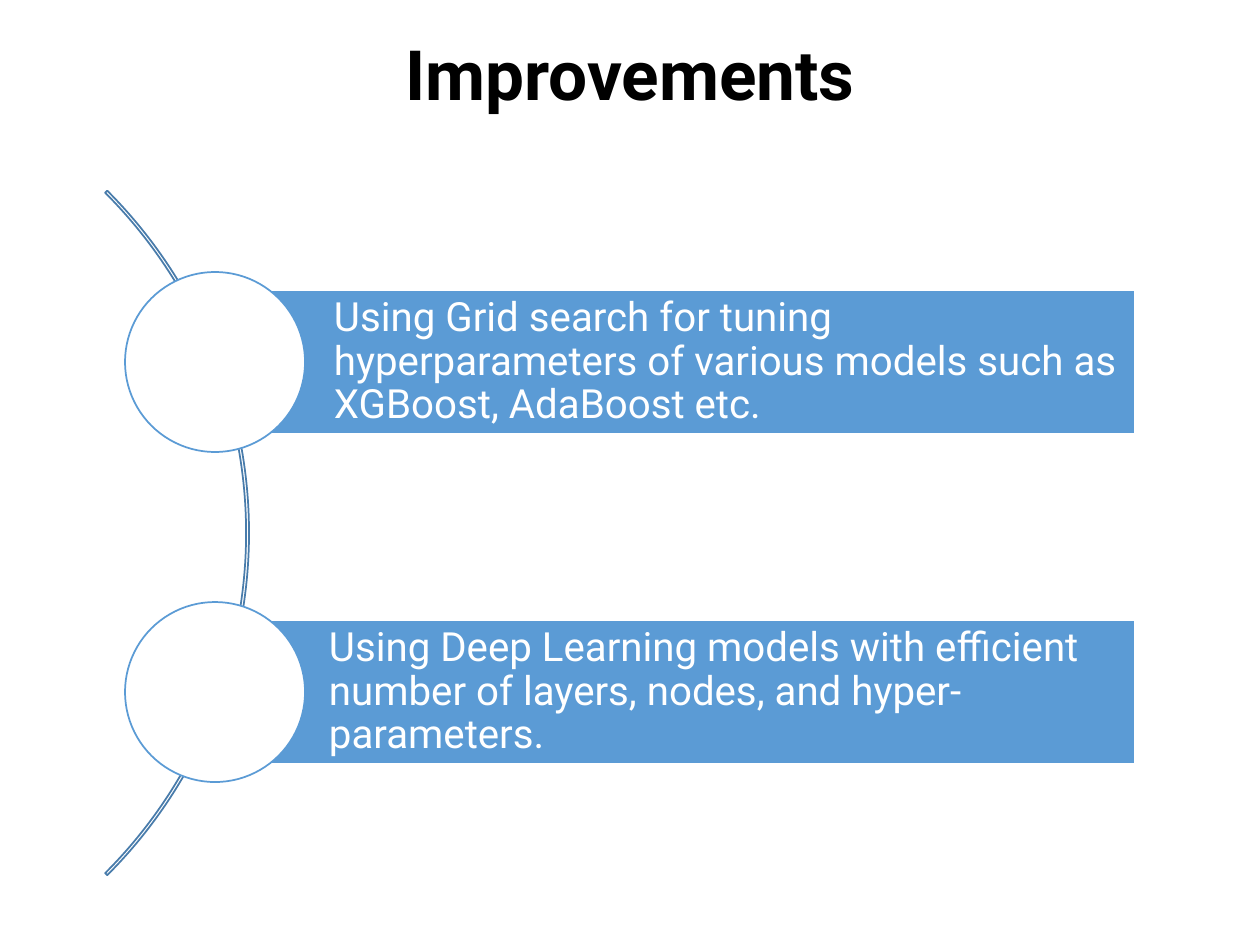
import pptx
import pptx.util
from pptx.dml.color import RGBColor
from pptx.enum.shapes import MSO_SHAPE
from pptx.enum.text import MSO_ANCHOR, MSO_AUTO_SIZE, PP_ALIGN

PX = 914400 / 126
COLORS = {"text": "000000", "bar": "5B9BD5", "light": "FFFFFF", "arc": "497CAB"}
ITEMS = [
    # bar offset from the circle's left edge, text
    (94, "Using Grid search for tuning hyperparameters of various models such as "
         "XGBoost, AdaBoost etc."),
    (89, "Using Deep Learning models with efficient number of layers, nodes, and "
         "hyper-parameters."),
]


def px(n):
    return pptx.util.Emu(round(n * PX))


def color(name):
    return RGBColor.from_string(COLORS[name])


def add_shape(s, kind, box, fill, line):
    sp = s.shapes.add_shape(kind, *map(px, box))
    sp.shadow.inherit = False
    if fill:
        sp.fill.solid()
        sp.fill.fore_color.rgb = color(fill)
    else:
        sp.fill.background()
    sp.line.color.rgb = color(line)
    sp.line.width = pptx.util.Pt(1)
    return sp


def write(sp, text, size, font_color, align, insets, bold=False):
    tf = sp.text_frame
    frame = {"word_wrap": True, "auto_size": MSO_AUTO_SIZE.NONE,
             "vertical_anchor": MSO_ANCHOR.MIDDLE}
    sides = ("margin_left", "margin_top", "margin_right", "margin_bottom")
    frame.update(zip(sides, map(px, insets)))
    for name, value in frame.items():
        setattr(tf, name, value)
    p = tf.paragraphs[0]
    p.alignment = align
    p.line_spacing = 0.9
    r = p.add_run()
    r.text = text
    for name, value in {"name": "Roboto", "size": pptx.util.Pt(size), "bold": bold}.items():
        setattr(r.font, name, value)
    r.font.color.rgb = color(font_color)


def add_title(s, box, text):
    title = s.shapes.title
    title.left, title.top, title.width, title.height = map(px, box)
    write(title, text, 39.6, "text", PP_ALIGN.CENTER, (13, 13, 13, 13), bold=True)


def add_item(s, box, bar_offset, text):
    """Place a text bar with a circle over its left end; the circle is as tall as the box."""
    x, y, w, h = box
    bar_height = 144
    bar_box = (x + bar_offset, y + (h - bar_height) // 2, w - bar_offset, bar_height)
    bar = add_shape(s, MSO_SHAPE.RECTANGLE, bar_box, "bar", "light")
    write(bar, text, 23, "light", PP_ALIGN.LEFT, (115, 8, 8, 8))
    add_shape(s, MSO_SHAPE.OVAL, (x, y, h, h), "light", "bar")


def add_curved_list(s, box, items):
    x, y, w, h = box
    arc_left = x - 844
    arc = add_shape(s, MSO_SHAPE.BLOCK_ARC, (arc_left, y, h, h), None, "arc")
    for i, value in enumerate((189, 27, 0.003)):
        arc.adjustments[i] = value
    first, pitch, diameter = 223, 330, 180
    for i, (bar_offset, text) in enumerate(items):
        add_item(s, (x, y + first + i * pitch, w, diameter), bar_offset, text)


def main():
    prs = pptx.Presentation()
    prs.slide_width, prs.slide_height = px(1260), px(945)
    s = prs.slides.add_slide(prs.slide_layouts[5])
    add_title(s, (43, 25, 1174, 106), "Improvements")
    add_curved_list(s, (125, 49, 1010, 968), ITEMS)
    prs.save("out.pptx")


if __name__ == "__main__":
    main()
